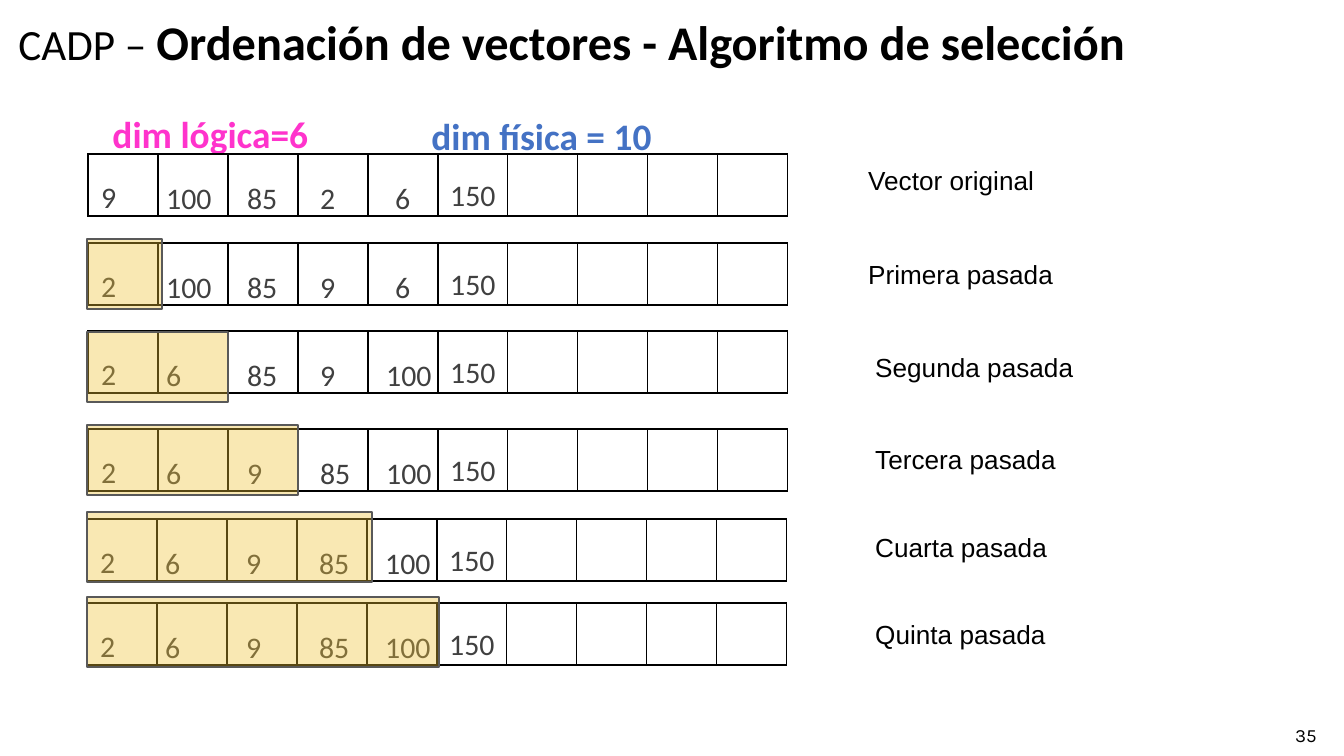
from pptx import Presentation
from pptx.dml.color import RGBColor
from pptx.enum.shapes import MSO_SHAPE
from pptx.enum.text import MSO_ANCHOR, MSO_AUTO_SIZE, PP_ALIGN
from pptx.oxml import parse_xml
from pptx.oxml.ns import nsdecls, qn
from pptx.util import Emu, Pt
from lxml.etree import SubElement

EMU_PER_PX = 914400 / 134.4
CELL_WIDTH, CELL_HEIGHT, CELL_COUNT = 70, 62, 10
VALUE_OFFSETS = [(0, 18, 82), (65, 19, 78), (146, 19, 64),
                 (219, 19, 64), (294, 19, 64), (349, 16, 75)]
WIDE_FIFTH_OFFSET = (285, 19, 75)

PASSES = [
    ("Vector original", (855, 151), (88, 154), [9, 100, 85, 2, 6, 150], None),
    ("Primera pasada", (855, 245), (88, 243), [2, 100, 85, 9, 6, 150], (239, 75)),
    ("Segunda pasada", (862, 338), (88, 331), [2, 6, 85, 9, 100, 150], (332, 141)),
    ("Tercera pasada", (862, 430), (88, 429), [2, 6, 9, 85, 100, 150], (425, 211)),
    ("Cuarta pasada", (862, 518), (87, 519), [2, 6, 9, 85, 100, 150], (512, 285)),
    ("Quinta pasada", (862, 605), (87, 603), [2, 6, 9, 85, 100, 150], (597, 352)),
]


def px(length):
    return Emu(round(length * EMU_PER_PX))


def color(hex_code):
    return RGBColor.from_string(hex_code)


def apply(target, values):
    for name, value in values.items():
        setattr(target, name, value)


class SortingSlide:
    TITLE = {"name": "Calibri", "size": Pt(23.1), "bold": False}
    TITLE_STRONG = {"name": "Calibri", "size": Pt(25.9), "bold": True}
    VALUE = {"name": "Calibri", "size": Pt(16)}
    DIMENSION = {"name": "Calibri", "size": Pt(20), "bold": True}
    LABEL = {"name": "Arial", "size": Pt(14)}
    NUMBER = {"name": "Karla", "size": Pt(10)}
    INK, VALUE_INK = "000000", "404040"
    HIGHLIGHT, HIGHLIGHT_LINE, HIGHLIGHT_ALPHA = "F1C232", "595959", 37

    def __init__(self, presentation):
        self.slide = presentation.slides.add_slide(presentation.slide_layouts[5])
        self.shapes = self.slide.shapes

    def run(self, paragraph, words, font, ink):
        run = paragraph.add_run()
        run.text = words
        apply(run.font, font)
        run.font.color.rgb = color(ink)

    def title(self, box, parts):
        heading = self.shapes.title
        apply(heading, dict(zip(("left", "top", "width", "height"), map(px, box))))
        apply(heading.text_frame, {"vertical_anchor": MSO_ANCHOR.BOTTOM,
                                   "auto_size": MSO_AUTO_SIZE.NONE, "word_wrap": True})
        paragraph = heading.text_frame.paragraphs[0]
        apply(paragraph, {"alignment": PP_ALIGN.LEFT, "line_spacing": 0.7})
        for words, font in parts:
            self.run(paragraph, words, font, self.INK)

    def text(self, box, words, font, ink=INK, align=PP_ALIGN.LEFT, **frame_format):
        frame = self.shapes.add_textbox(*map(px, box)).text_frame
        apply(frame, {"word_wrap": True, "auto_size": MSO_AUTO_SIZE.SHAPE_TO_FIT_TEXT,
                      **frame_format})
        frame.paragraphs[0].alignment = align
        self.run(frame.paragraphs[0], words, font, ink)

    def vector(self, left, top):
        grid = self.shapes.add_table(1, CELL_COUNT, px(left), px(top),
                                     px(CELL_WIDTH * CELL_COUNT), px(CELL_HEIGHT)).table
        apply(grid, {"first_row": False, "horz_banding": False})
        for column in grid.columns:
            column.width = px(CELL_WIDTH)
        for cell in grid.iter_cells():
            cell.fill.background()
            properties = cell._tc.get_or_add_tcPr()
            for position, side in enumerate(("lnL", "lnR", "lnT", "lnB")):
                properties.insert(position, parse_xml(
                    f'<a:{side} {nsdecls("a")} w="{Pt(1)}"><a:solidFill>'
                    f'<a:srgbClr val="{self.INK}"/></a:solidFill></a:{side}>'))

    def values(self, left, top, numbers):
        for position, number in enumerate(numbers):
            x, y, width = VALUE_OFFSETS[position]
            if position == 4 and number >= 100:
                x, y, width = WIDE_FIFTH_OFFSET
            self.text((left + x, top + y, width, 50), str(number), self.VALUE,
                      self.VALUE_INK, PP_ALIGN.JUSTIFY)

    def sorted_part(self, top, width):
        area = self.shapes.add_shape(MSO_SHAPE.RECTANGLE, *map(px, (87, top, width, 70)))
        area.shadow.inherit = False
        area.fill.solid()
        area.fill.fore_color.rgb = color(self.HIGHLIGHT)
        tint = area.fill._xPr.find(qn("a:solidFill"))[0]
        SubElement(tint, qn("a:alpha")).set("val", str(self.HIGHLIGHT_ALPHA * 1000))
        area.line.color.rgb = color(self.HIGHLIGHT_LINE)
        area.line.width = Pt(0.75)


def main():
    presentation = Presentation()
    apply(presentation, {"slide_width": px(1344), "slide_height": px(756)})
    page = SortingSlide(presentation)
    page.title((5, 15, 1185, 60), [
        ("CADP – ", page.TITLE),
        ("Ordenación de vectores - Algoritmo de selección", page.TITLE_STRONG)])
    page.text((46, 105, 329, 59), "dim lógica=6", page.DIMENSION, "FF33CC", PP_ALIGN.CENTER)
    page.text((380, 107, 323, 59), "dim física = 10", page.DIMENSION, "4472C4", PP_ALIGN.CENTER)
    for label, label_corner, vector_corner, numbers, sorted_area in PASSES:
        page.vector(*vector_corner)
        page.values(*vector_corner, numbers)
        if sorted_area:
            page.sorted_part(*sorted_area)
        page.text((*label_corner, 323, 59), label, page.LABEL,
                  margin_top=px(13), margin_bottom=px(13))
    page.text((1282, 715, 62, 40), "35", page.NUMBER,
              vertical_anchor=MSO_ANCHOR.MIDDLE, auto_size=MSO_AUTO_SIZE.NONE)
    presentation.save("out.pptx")


if __name__ == "__main__":
    main()
